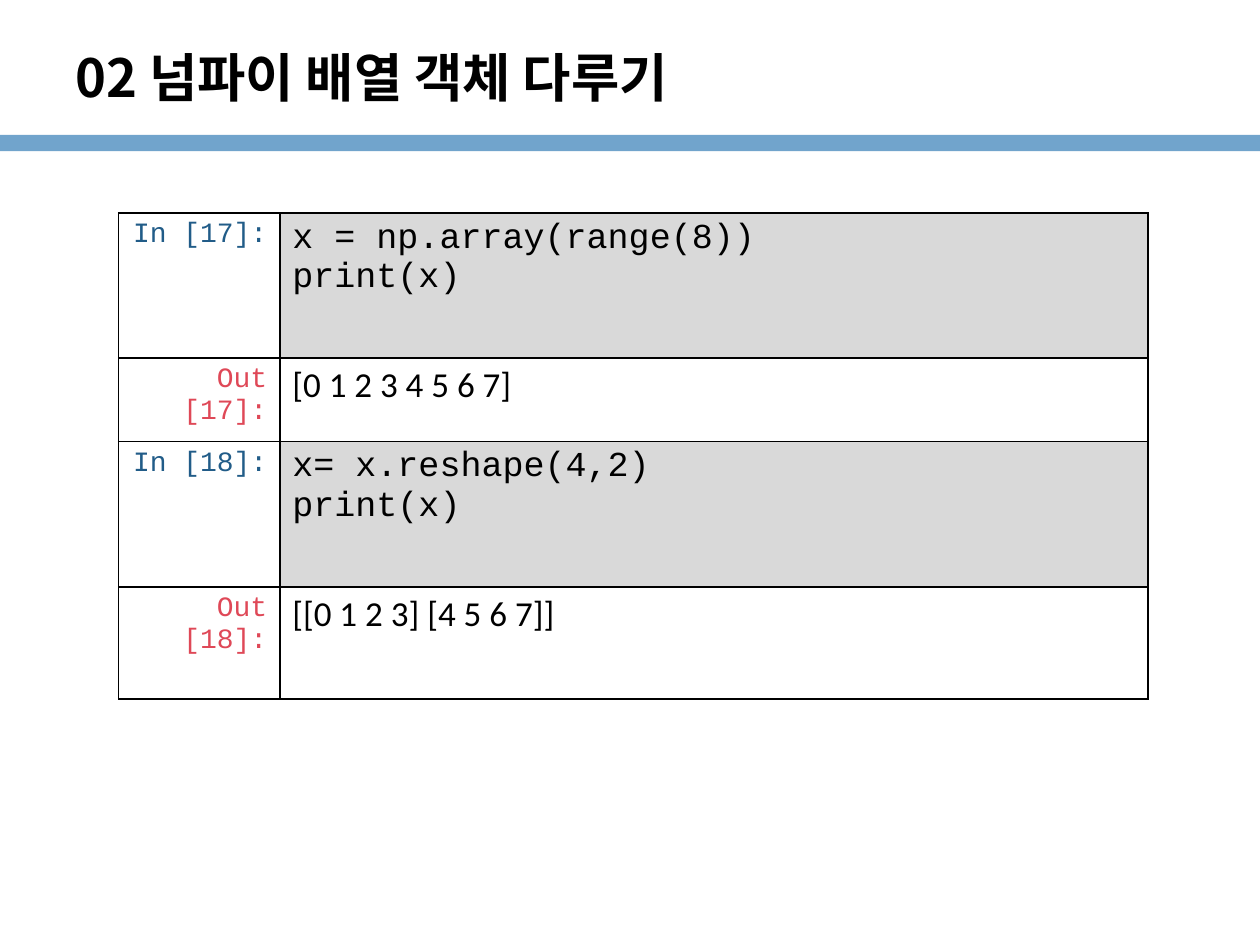
from dataclasses import dataclass

from lxml import etree
from pptx import Presentation
from pptx import util as u
from pptx.dml.color import RGBColor
from pptx.enum import shapes, text
from pptx.oxml import ns


@dataclass(frozen=True)
class Theme:
    black: str = "000000"
    white: str = "FFFFFF"
    bar: str = "71A4CC"
    code: str = "D9D9D9"
    blue: str = "215C88"
    red: str = "DF4857"
    head: str = "Noto Sans CJK KR"
    mono: str = "Courier New"
    sans: str = "Calibri"
    title: int = 30
    body: int = 20
    label: int = 16
    line: int = 1


@dataclass(frozen=True)
class Step:
    """One notebook input with its output; heights in cm."""
    num: int
    code: str
    out: str
    tall: float
    short: float


T = Theme()
STEPS = [
    Step(17, "x = np.array(range(8))\nprint(x)", "[0 1 2 3 4 5 6 7]", 2.93, 1.68),
    Step(18, "x= x.reshape(4,2)\nprint(x)", "[[0 1 2 3] [4 5 6 7]]", 2.93, 2.26),
]
COLS = (3.25, 17.5)


def paint(frame, font: str, size: int, color: str, bold: bool = False,
          align=text.PP_ALIGN.LEFT) -> None:
    for par in frame.paragraphs:
        par.alignment = align
        for run in par.runs:
            run.font.name = font
            run.font.size = u.Pt(size)
            run.font.bold = bold
            run.font.color.rgb = RGBColor.from_string(color)
            east = etree.SubElement(run.font._element, ns.qn("a:ea"))
            east.set("typeface", font)


def edge(cell) -> None:
    """Draw the four borders; they must come before the fill in tcPr."""
    props = cell._tc.get_or_add_tcPr()
    for i, side in enumerate(("lnL", "lnR", "lnT", "lnB")):
        line = etree.Element(ns.qn(f"a:{side}"), w=str(u.Pt(T.line)))
        fill = etree.SubElement(line, ns.qn("a:solidFill"))
        etree.SubElement(fill, ns.qn("a:srgbClr"), val=T.black)
        props.insert(i, line)


def put(cell, words: str, font: str, size: int, color: str, back: str,
        align=text.PP_ALIGN.LEFT) -> None:
    cell.text_frame.text = words
    paint(cell.text_frame, font, size, color, align=align)
    cell.fill.solid()
    cell.fill.fore_color.rgb = RGBColor.from_string(back)
    edge(cell)


def header(slide) -> None:
    bar = slide.shapes.add_shape(shapes.MSO_SHAPE.RECTANGLE,
                                 0, u.Cm(2.72), u.Cm(25.4), u.Cm(0.33))
    bar.shadow.inherit = False
    bar.fill.solid()
    bar.fill.fore_color.rgb = RGBColor.from_string(T.bar)
    bar.line.fill.background()
    box = slide.shapes.add_textbox(u.Cm(1.27), u.Cm(0.76), u.Cm(19.89), u.Cm(1.57))
    frame = box.text_frame
    frame.word_wrap = True
    frame.vertical_anchor = text.MSO_ANCHOR.MIDDLE
    frame.text = "02 넘파이 배열 객체 다루기"
    paint(frame, T.head, T.title, T.black, bold=True)


def cells(slide, steps: list[Step]) -> None:
    tall = sum(s.tall + s.short for s in steps)
    grid = slide.shapes.add_table(2 * len(steps), len(COLS), u.Cm(2.39), u.Cm(4.29),
                                  u.Cm(sum(COLS)), u.Cm(tall)).table
    grid.first_row = grid.horz_banding = False
    for col, wide in zip(grid.columns, COLS):
        col.width = u.Cm(wide)
    for i, s in enumerate(steps):
        rows = (
            ("In", T.blue, s.code, T.mono, T.code, s.tall),
            ("Out", T.red, s.out, T.sans, T.white, s.short),
        )
        for r, (tag, color, words, font, back, high) in enumerate(rows, 2 * i):
            grid.rows[r].height = u.Cm(high)
            put(grid.cell(r, 0), f"{tag} [{s.num}]:", T.mono, T.label, color,
                T.white, text.PP_ALIGN.RIGHT)
            put(grid.cell(r, 1), words, font, T.body, T.black, back)


def main() -> None:
    deck = Presentation()
    deck.slide_width, deck.slide_height = u.Cm(25.4), u.Cm(19.05)
    slide = deck.slides.add_slide(deck.slide_layouts[6])
    header(slide)
    cells(slide, STEPS)
    deck.save("out.pptx")


if __name__ == "__main__":
    main()
